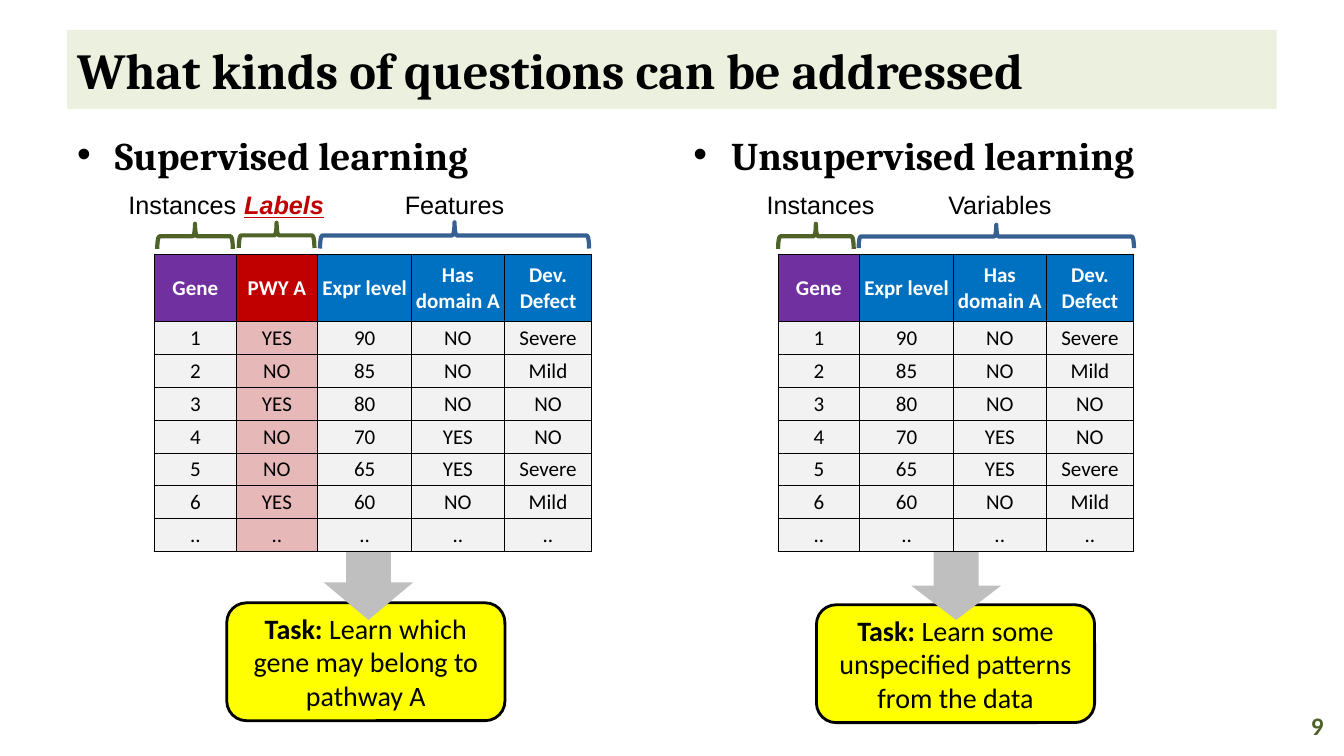
"""Build a slide comparing supervised and unsupervised learning tasks."""
from dataclasses import dataclass

from lxml.etree import SubElement
from pptx import Presentation
from pptx.dml.color import RGBColor
from pptx.enum.shapes import MSO_SHAPE as Preset
from pptx.enum.text import MSO_ANCHOR as Anchor, MSO_AUTO_SIZE as AutoSize, PP_ALIGN as Align
from pptx.oxml.ns import qn
from pptx.shapes.autoshape import Shape
from pptx.slide import Slide
from pptx.table import _Cell as Cell
from pptx.util import Pt

COLORS = {
    "black": "000000", "white": "FFFFFF", "banner": "EBF1DE", "yellow": "FFFF00",
    "arrow": "BFBFBF", "green": "4F6228", "blue": "376092", "red": "C00000",
    "purple": "7030A0", "header": "0070C0", "pink": "E6B9B8", "pale": "F2F2F2",
}
COLUMNS = {
    "Gene": (58.3, "purple", "pale", "1 2 3 4 5 6 ..".split()),
    "PWY A": (58.3, "red", "pink", "YES NO YES NO NO YES ..".split()),
    "Expr level": (67, "header", "pale", "90 85 80 70 65 60 ..".split()),
    "Has domain A": (66.2, "header", "pale", "NO NO NO YES YES NO ..".split()),
    "Dev. Defect": (62.6, "header", "pale", "Severe Mild NO NO Severe Mild ..".split()),
}
HEADER_HEIGHT, ROW_HEIGHT = 48, 23.5
TABLE_TOP = 181.5
THICK, THIN = 1, 0.5


@dataclass(frozen=True)
class Frame:
    left: float
    top: float
    width: float
    height: float


@dataclass(frozen=True)
class Bracket:
    text: str
    text_left: float
    text_width: float
    brace: Frame
    color: str
    emphasized: bool = False


@dataclass(frozen=True)
class Panel:
    heading: str
    heading_left: float
    table_left: float
    columns: tuple[str, ...]
    key_columns: int
    brackets: tuple[Bracket, ...]
    task: str
    task_frame: Frame
    arrow_left: float
    arrow_head: float


PANELS = (
    Panel(
        "Supervised learning", 48, 110.4, tuple(COLUMNS), 2,
        (
            Bracket("Labels", 167, 72, Frame(170.6, 159.1, 54, 18), "green", True),
            Bracket("Features", 281.5, 86.4, Frame(228.6, 158.8, 192.2, 18.7), "blue"),
            Bracket("Instances", 84.2, 92.2, Frame(112.3, 159.8, 54, 18), "green"),
        ),
        " Learn which gene may belong to pathway A", Frame(162, 430.6, 198.7, 84.2), 231.1, 0.498,
    ),
    Panel(
        "Unsupervised learning", 488.2, 555.8,
        tuple(name for name in COLUMNS if name != "PWY A"), 1,
        (
            Bracket("Variables", 669.6, 89.3, Frame(613.4, 160.6, 196.6, 16.6), "blue"),
            Bracket("Instances", 540, 92.2, Frame(555.8, 159.8, 54, 18), "green"),
        ),
        " Learn some unspecified patterns from the data", Frame(583.2, 432, 198.7, 84.2), 650.9, 0.452,
    ),
)


def rgb(name: str) -> RGBColor:
    return RGBColor.from_string(COLORS[name])


def style_font(font, size: float, name: str, color: str, bold: bool = False) -> None:
    font.size, font.name, font.bold = Pt(size), name, bold
    font.color.rgb = rgb(color)


def add_preset(shapes, preset: Preset, frame: Frame, fill: str | None = None,
               line: str | None = None, line_width: float = 0) -> Shape:
    shape = shapes.add_shape(preset, Pt(frame.left), Pt(frame.top), Pt(frame.width), Pt(frame.height))
    shape.shadow.inherit = False
    if fill:
        shape.fill.solid()
        shape.fill.fore_color.rgb = rgb(fill)
    else:
        shape.fill.background()
    if line:
        shape.line.color.rgb = rgb(line)
        shape.line.width = Pt(line_width)
    else:
        shape.line.fill.background()
    return shape


def quarter_turned(frame: Frame) -> Frame:
    shift = (frame.width - frame.height) / 2
    return Frame(frame.left + shift, frame.top - shift, frame.height, frame.width)


def add_text(shapes, frame: Frame, text: str, size: float, name: str, color: str,
             bold: bool = False, align: Align = Align.LEFT, wrap: bool = True) -> Shape:
    box = shapes.add_textbox(Pt(frame.left), Pt(frame.top), Pt(frame.width), Pt(frame.height))
    box.text_frame.word_wrap = wrap
    box.text_frame.text = text
    paragraph = box.text_frame.paragraphs[0]
    paragraph.alignment = align
    style_font(paragraph.runs[0].font, size, name, color, bold)
    return box


def add_heading(slide: Slide, panel: Panel) -> None:
    box = add_text(slide.shapes, Frame(panel.heading_left, 90, 424, 421), panel.heading,
                   28, "Cambria", "black", True)
    properties = box.text_frame.paragraphs[0]._p.get_or_add_pPr()
    properties.set("marL", str(Pt(27)))
    properties.set("indent", str(-Pt(27)))
    SubElement(properties, qn("a:buFont"), typeface="Arial")
    SubElement(properties, qn("a:buChar"), char="•")


def add_task(slide: Slide, panel: Panel) -> None:
    box = add_preset(slide.shapes, Preset.ROUNDED_RECTANGLE, panel.task_frame, "yellow", "black", 2)
    box.text_frame.word_wrap = True
    box.text_frame.vertical_anchor = Anchor.MIDDLE
    paragraph = box.text_frame.paragraphs[0]
    paragraph.alignment = Align.CENTER
    for text, bold in (("Task:", True), (panel.task, False)):
        run = paragraph.add_run()
        run.text = text
        style_font(run.font, 20, "Calibri", "black", bold)
    arrow = add_preset(slide.shapes, Preset.RIGHT_ARROW,
                       quarter_turned(Frame(panel.arrow_left, 388.8, 64.1, 54)), "arrow")
    arrow.rotation = 90
    arrow.adjustments[1] = panel.arrow_head


def set_borders(cell: Cell, widths: dict[str, float]) -> None:
    properties = cell._tc.get_or_add_tcPr()
    for position, (side, width) in enumerate(widths.items()):
        line = SubElement(properties, qn(f"a:ln{side}"), w=str(Pt(width)))
        SubElement(SubElement(line, qn("a:solidFill")), qn("a:srgbClr"), val=COLORS["black"])
        properties.insert(position, line)


def fill_cell(cell: Cell, text: str, fill: str, is_header: bool) -> None:
    cell.text_frame.text = text
    cell.vertical_anchor = Anchor.MIDDLE
    cell.margin_left = cell.margin_right = cell.margin_top = Pt(0.72)
    cell.margin_bottom = Pt(0)
    cell.fill.solid()
    cell.fill.fore_color.rgb = rgb(fill)
    paragraph = cell.text_frame.paragraphs[0]
    paragraph.alignment = Align.CENTER
    style_font(paragraph.runs[0].font, 15, "Calibri", "white" if is_header else "black", is_header)


def add_gene_table(slide: Slide, panel: Panel) -> None:
    columns = [(name, *COLUMNS[name]) for name in panel.columns]
    row_count = 1 + len(columns[0][-1])
    width = sum(column[1] for column in columns)
    height = HEADER_HEIGHT + ROW_HEIGHT * (row_count - 1)
    table = slide.shapes.add_table(row_count, len(columns), Pt(panel.table_left), Pt(TABLE_TOP),
                                   Pt(width), Pt(height)).table
    table.first_row = table.horz_banding = False
    for index, row in enumerate(table.rows):
        row.height = Pt(ROW_HEIGHT if index else HEADER_HEIGHT)
    for index, (name, column_width, header_fill, body_fill, values) in enumerate(columns):
        table.columns[index].width = Pt(column_width)
        is_last = index == len(columns) - 1
        for row_index, text in enumerate([name, *values]):
            is_header = row_index == 0
            cell = table.cell(row_index, index)
            fill_cell(cell, text, header_fill if is_header else body_fill, is_header)
            set_borders(cell, {
                "L": THICK if index <= panel.key_columns else THIN,
                "R": THICK if index < panel.key_columns or is_last else THIN,
                "T": THICK if row_index <= 1 else THIN,
                "B": THICK if is_header else THIN,
            })


def add_brackets(slide: Slide, panel: Panel) -> None:
    group = slide.shapes.add_group_shape()
    for bracket in panel.brackets:
        brace = add_preset(group.shapes, Preset.RIGHT_BRACE, quarter_turned(bracket.brace),
                           line=bracket.color, line_width=3)
        brace.rotation = 270
        label = add_text(group.shapes, Frame(bracket.text_left, 131.8, bracket.text_width, 28.8),
                         bracket.text, 18, "Arial", "red" if bracket.emphasized else "black",
                         bracket.emphasized, Align.CENTER, wrap=False)
        label.text_frame.auto_size = AutoSize.SHAPE_TO_FIT_TEXT
        if bracket.emphasized:
            font = label.text_frame.paragraphs[0].runs[0].font
            font.italic = font.underline = True


def main() -> None:
    presentation = Presentation()
    presentation.slide_width, presentation.slide_height = Pt(960), Pt(540)
    slide = presentation.slides.add_slide(presentation.slide_layouts[6])
    title = add_text(slide.shapes, Frame(48, 21.6, 864, 56.2), "What kinds of questions can be addressed",
                     36, "Cambria", "black", True)
    title.fill.solid()
    title.fill.fore_color.rgb = rgb("banner")
    number = add_text(slide.shapes, Frame(904.3, 504, 48.2, 28.8), "9", 18, "Calibri", "green", True, Align.RIGHT)
    for box in (title, number):
        box.text_frame.vertical_anchor = Anchor.MIDDLE
    for panel in PANELS:
        add_task(slide, panel)
        add_heading(slide, panel)
        add_gene_table(slide, panel)
        add_brackets(slide, panel)
    presentation.save("out.pptx")


if __name__ == "__main__":
    main()
